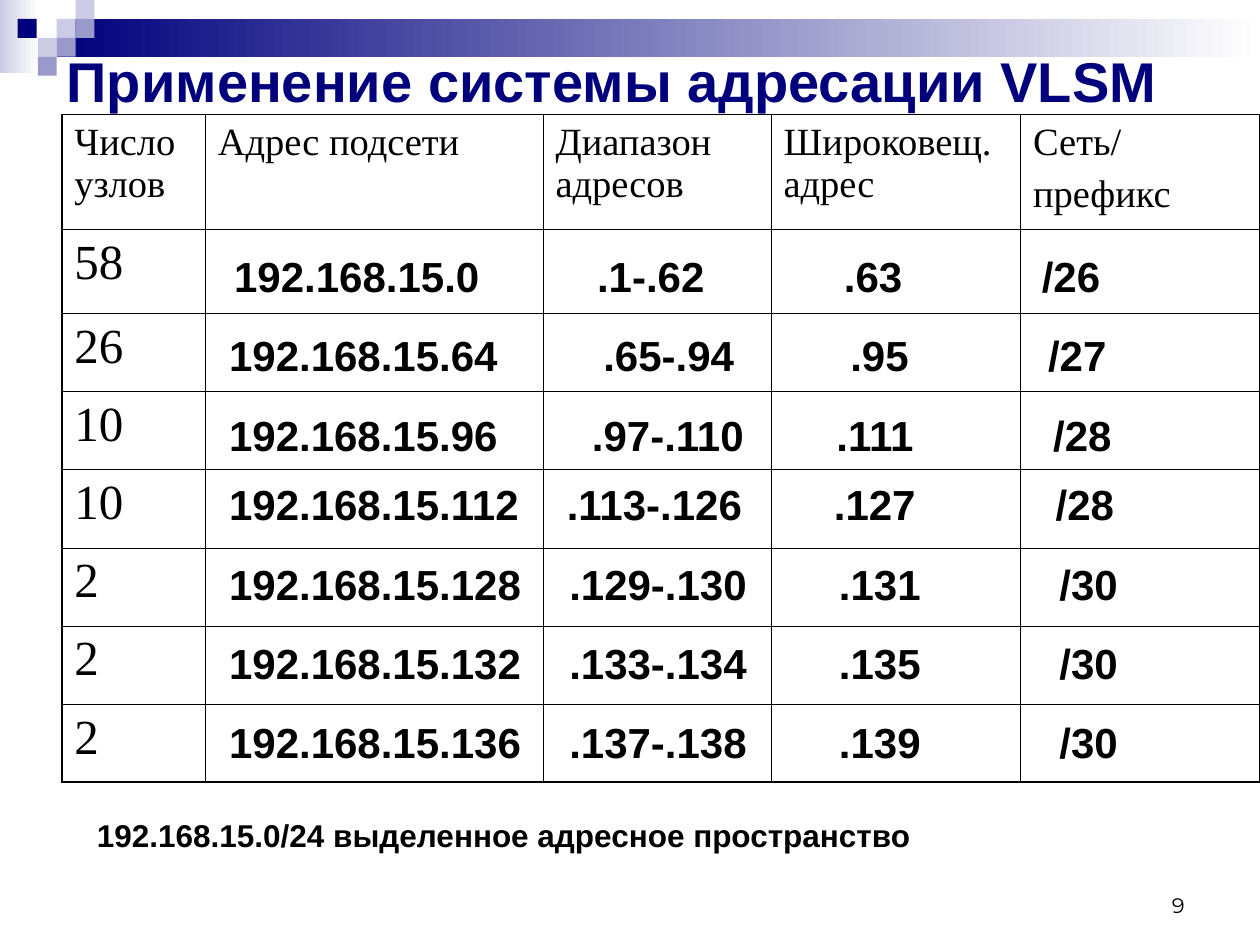
from pptx import Presentation
from pptx.dml.color import RGBColor
from pptx.enum.shapes import MSO_SHAPE
from pptx.enum.text import MSO_ANCHOR, MSO_AUTO_SIZE, PP_ALIGN
from pptx.oxml.ns import qn
from pptx.util import Inches, Pt
from lxml.etree import SubElement

COLORS = {"navy": "00007D", "lilac": "CCCCE6", "violet": "9999CC",
          "white": "FFFFFF", "black": "000000"}


def tint(name):
    return RGBColor.from_string(COLORS[name])


class Page:
    sans, serif, label = "Arial", "Times New Roman", "Montserrat"
    thin, thick = 0.45, 1.08

    def __init__(self, deck):
        self.slide = deck.slides.add_slide(deck.slide_layouts[5])
        self.shapes = self.slide.shapes

    def style(self, frame, size, font, color="black", bold=False, gap=0,
              align=PP_ALIGN.LEFT):
        for para in frame.paragraphs:
            para.alignment = align
            para.space_before = Pt(gap)
            for run in para.runs:
                run.font.size = Pt(size)
                run.font.name = font
                run.font.bold = bold
                run.font.color.rgb = tint(color)

    def rect(self, x, y, w, h, color, fade=None):
        box = self.shapes.add_shape(MSO_SHAPE.RECTANGLE, Inches(x), Inches(y),
                                    Inches(w), Inches(h))
        box.shadow.inherit = False
        box.line.fill.background()
        if fade:
            box.fill.gradient()
            box.fill.gradient_angle = 0
            for stop, name in zip(box.fill.gradient_stops, (color, fade)):
                stop.color.rgb = tint(name)
        else:
            box.fill.solid()
            box.fill.fore_color.rgb = tint(color)

    def title(self, text, x, y, w, h):
        head = self.shapes.title
        head.left, head.top = Inches(x), Inches(y)
        head.width, head.height = Inches(w), Inches(h)
        frame = head.text_frame
        frame.text = text
        frame.auto_size = MSO_AUTO_SIZE.NONE
        frame.vertical_anchor = MSO_ANCHOR.MIDDLE
        self.style(frame, 32, self.sans, "navy", True)
        # Bring the title in front of the decoration
        head.element.getparent().append(head.element)

    def text(self, text, x, y, w, h, size, font, anchor=MSO_ANCHOR.TOP,
             tabs=(), **look):
        box = self.shapes.add_textbox(Inches(x), Inches(y), Inches(w), Inches(h))
        frame = box.text_frame
        frame.word_wrap = True
        frame.vertical_anchor = anchor
        frame.text = text
        self.style(frame, size, font, **look)
        if tabs:
            props = frame.paragraphs[0]._p.get_or_add_pPr()
            stops = SubElement(props, qn("a:tabLst"))
            for pos in tabs:
                SubElement(stops, qn("a:tab"), pos=str(Inches(pos)), algn="l")

    def border(self, cell, sides):
        props = cell._tc.get_or_add_tcPr()
        for side, width in sides.items():
            line = SubElement(props, qn("a:ln" + side), w=str(Pt(width)))
            fill = SubElement(line, qn("a:solidFill"))
            SubElement(fill, qn("a:srgbClr"), val=COLORS["black"])

    def table(self, heads, counts, x, y, cols, rows):
        grid = self.shapes.add_table(len(rows), len(cols), Inches(x), Inches(y),
                                     Inches(sum(cols)), Inches(sum(rows))).table
        grid.first_row = grid.horz_banding = False
        for col, width in zip(grid.columns, cols):
            col.width = Inches(width)
        for row, height in zip(grid.rows, rows):
            row.height = Inches(height)
        for r in range(len(rows)):
            for c in range(len(cols)):
                cell = grid.cell(r, c)
                edge = {"L": c == 0, "R": c == len(cols) - 1,
                        "T": r == 0, "B": r == len(rows) - 1}
                self.border(cell, {side: self.thick if outer else self.thin
                                   for side, outer in edge.items()})
                cell.fill.background()
                if r == 0:
                    cell.text_frame.text = heads[c]
                    self.style(cell.text_frame, 22, self.serif, gap=5.5)
                elif c == 0:
                    cell.text_frame.text = counts[r - 1]
                    self.style(cell.text_frame, 28, self.serif, gap=7)


deck = Presentation()
deck.slide_width, deck.slide_height = Inches(10), Inches(7.5)
page = Page(deck)

# Header band and mosaic
page.rect(0, 0, 0.31, 0.58, "lilac", "white")
page.rect(0.45, 0.15, 9.55, 0.3, "navy", "white")
for x, y, color in [(0.45, 0.15, "lilac"), (0.6, 0, "lilac"),
                    (0.6, 0.15, "violet"), (0.3, 0.3, "lilac"),
                    (0.14, 0.15, "navy"), (0.45, 0.3, "violet"),
                    (0.3, 0.45, "violet")]:
    page.rect(x, y, 0.15, 0.15, color)

page.title("Применение системы адресации VLSM", 0.43, 0.44, 9, 0.39)

# Table of subnets
page.table(["Число узлов", "Адрес подсети", "Диапазон адресов",
            "Широковещ. адрес", "Сеть/\nпрефикс"],
           ["58", "26", "10", "10", "2", "2", "2"], 0.49, 0.91,
           [1.14, 2.68, 1.81, 1.98, 1.9], [0.91, 0.67] + [0.62] * 6)

page.text("192.168.15.0/24 выделенное адресное пространство",
          0.67, 6.43, 8.51, 0.4, 18, page.sans, bold=True, gap=11.2)

# Answers over the table rows, set out with tab stops
late = (0.38, 3.08, 5.22, 6.97)
answers = [
    ("192.168.15.0", ".1-.62", ".63", "/26", (0.42, 3.3, 5.26, 6.83)),
    ("192.168.15.64", ".65-.94", ".95", "/27", (0.38, 3.35, 5.31, 6.88)),
    ("192.168.15.96", ".97-.110", ".111", "/28", (0.38, 3.26, 5.2, 6.92)),
    ("192.168.15.112", ".113-.126", ".127", "/28", (0.38, 3.06, 5.18, 6.94)),
    ("192.168.15.128", ".129-.130", ".131", "/30", late),
    ("192.168.15.132", ".133-.134", ".135", "/30", late),
    ("192.168.15.136", ".137-.138", ".139", "/30", late),
]
for i, (*parts, tabs) in enumerate(answers):
    top = 1.94 + 0.63 * i - (0.08 if i > 2 else 0)
    page.text("\t" + "\t".join(parts), 1.34, top, 8.66, 0.5, 24, page.sans,
              tabs=tabs, bold=True, gap=15)

# Page number
page.text("9", 7.17, 6.83, 2.33, 0.5, 12, page.label, MSO_ANCHOR.BOTTOM,
          align=PP_ALIGN.RIGHT)

deck.save("out.pptx")
